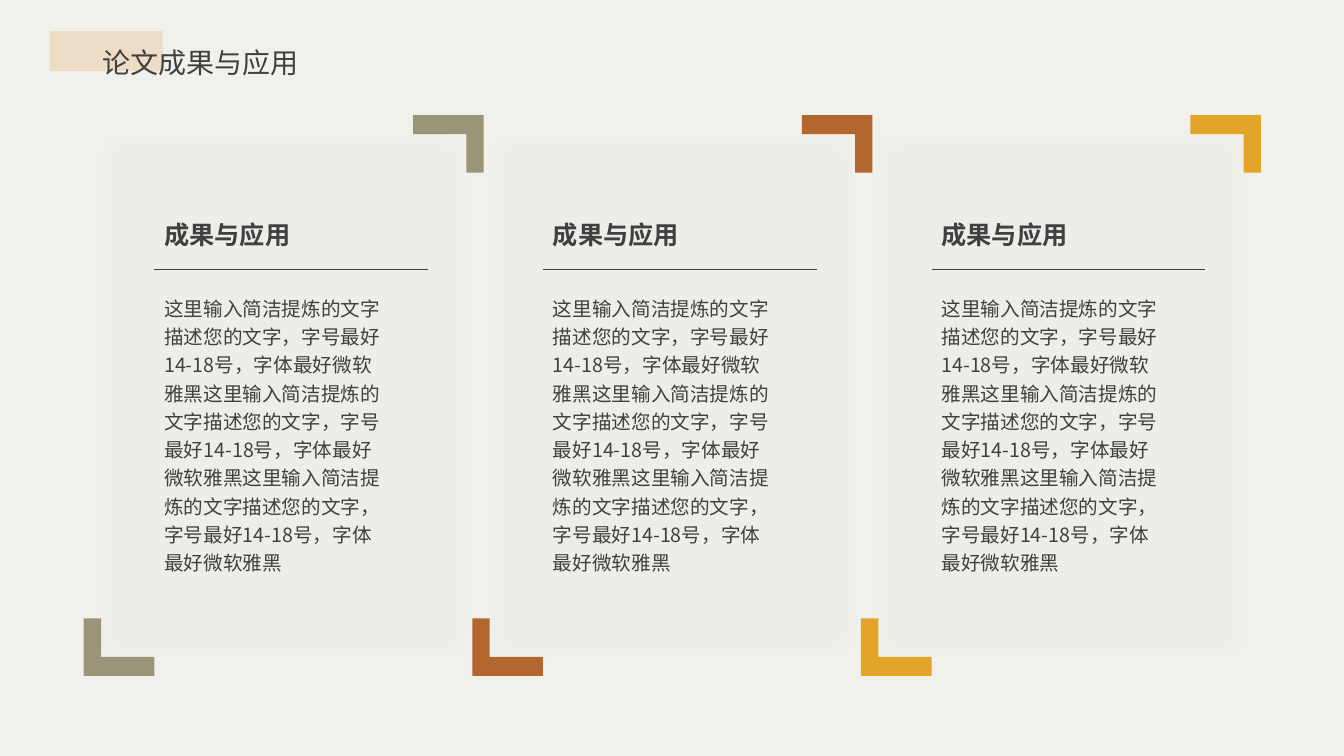
"""Build a slide with three framed cards on thesis results and applications."""
import lxml.etree
import pptx
import pptx.dml.color
import pptx.enum.shapes
import pptx.enum.text
import pptx.oxml.ns
import pptx.util

Pt = pptx.util.Pt
RGB = pptx.dml.color.RGBColor
SHAPES = pptx.enum.shapes.MSO_SHAPE
ALIGN = pptx.enum.text.PP_ALIGN
qn = pptx.oxml.ns.qn

BACKGROUND = RGB(0xF1, 0xF1, 0xEB)
TITLE_ACCENT = RGB(0xED, 0xDD, 0xC6)
INK = RGB(0x40, 0x40, 0x40)
PANEL = RGB(0xF2, 0xF2, 0xF2)
SHADOW = RGB(0x00, 0x00, 0x00)
OLIVE = RGB(0x9A, 0x94, 0x79)
RUST = RGB(0xB3, 0x67, 0x2E)
AMBER = RGB(0xE2, 0xA5, 0x2A)

FONT = "Noto Sans CJK SC"
TITLE = "论文成果与应用"
HEADING = "成果与应用"
BODY = "这里输入简洁提炼的文字描述您的文字，字号最好14-18号，字体最好微软雅黑" * 3
FIRST_CARD_LEFT = 78.5
CARD_PITCH = 277.6


def add_block(slide, preset, left, top, width, height, color):
    block = slide.shapes.add_shape(preset, Pt(left), Pt(top), Pt(width), Pt(height))
    block.shadow.inherit = False
    block.fill.solid()
    block.fill.fore_color.rgb = color
    block.line.fill.background()
    return block


def set_alpha(color_parent, percent):
    color = color_parent.find(qn("a:srgbClr"))
    lxml.etree.SubElement(color, qn("a:alpha"), val=str(percent * 1000))


def add_panel(slide, left):
    panel = add_block(slide, SHAPES.RECTANGLE, left, 103, 247.7, 359.3, PANEL)
    properties = panel._element.spPr
    set_alpha(properties.find(qn("a:solidFill")), 27)
    glow = lxml.etree.SubElement(
        properties.find(qn("a:effectLst")), qn("a:outerShdw"),
        blurRad=str(int(Pt(13))), dist="0", dir="0", algn="ctr", rotWithShape="0")
    lxml.etree.SubElement(glow, qn("a:srgbClr"), val=str(SHADOW))
    set_alpha(glow, 8)


def add_corner(slide, left, top, color, rotation=0):
    corner = add_block(slide, SHAPES.CORNER, left, top, 50.4, 41.2, color)
    corner.adjustments[0] = 0.33
    corner.adjustments[1] = 0.301
    corner.rotation = rotation


def write_text(holder, text, size, spacing=1.0, align=ALIGN.LEFT, bold=False):
    frame = holder.text_frame
    frame.word_wrap = True
    frame.auto_size = pptx.enum.text.MSO_AUTO_SIZE.SHAPE_TO_FIT_TEXT
    frame.vertical_anchor = pptx.enum.text.MSO_ANCHOR.TOP
    paragraph = frame.paragraphs[0]
    paragraph.alignment = align
    paragraph.line_spacing = spacing
    run = paragraph.add_run()
    run.text = text
    run.font.name = FONT
    run.font.size = Pt(size)
    run.font.bold = bold
    run.font.color.rgb = INK
    lxml.etree.SubElement(run.font._element, qn("a:ea"), typeface=FONT)


def add_text(slide, left, top, width, height, text, size, **style):
    box = slide.shapes.add_textbox(Pt(left), Pt(top), Pt(width), Pt(height))
    write_text(box, text, size, **style)


def add_rule(slide, left, top, width):
    rule = slide.shapes.add_connector(
        pptx.enum.shapes.MSO_CONNECTOR.STRAIGHT,
        Pt(left), Pt(top), Pt(left + width), Pt(top))
    rule.line.color.rgb = INK
    rule.line.width = Pt(0.5)
    lxml.etree.SubElement(rule._element.spPr, qn("a:effectLst"))


def add_title(slide):
    add_block(slide, SHAPES.RECTANGLE, 35.5, 22.2, 80.8, 28.5, TITLE_ACCENT)
    title = slide.shapes.title
    title.left, title.top, title.width, title.height = Pt(65.8), Pt(17.2), Pt(252), Pt(39.6)
    write_text(title, TITLE, 20, spacing=1.5, align=ALIGN.JUSTIFY)
    slide.shapes._spTree.append(title._element)


def add_card(slide, left, color):
    add_panel(slide, left)
    add_corner(slide, left - 18.7, 441.6, color)
    add_corner(slide, left + 216.6, 82.2, color, rotation=180)
    text_left = left + 31.7
    add_text(slide, text_left, 205.2, 173.5, 229.7, BODY, 14, spacing=1.2)
    add_text(slide, text_left, 153.4, 173.5, 28.8, HEADING, 18,
             align=ALIGN.JUSTIFY, bold=True)
    add_rule(slide, text_left, 192.2, 195.6)


def main():
    presentation = pptx.Presentation()
    presentation.slide_width = Pt(960)
    presentation.slide_height = Pt(540)
    slide = presentation.slides.add_slide(presentation.slide_layouts[5])
    slide.background.fill.solid()
    slide.background.fill.fore_color.rgb = BACKGROUND
    add_title(slide)
    for index, color in enumerate((OLIVE, RUST, AMBER)):
        add_card(slide, FIRST_CARD_LEFT + index * CARD_PITCH, color)
    presentation.save("out.pptx")


if __name__ == "__main__":
    main()
